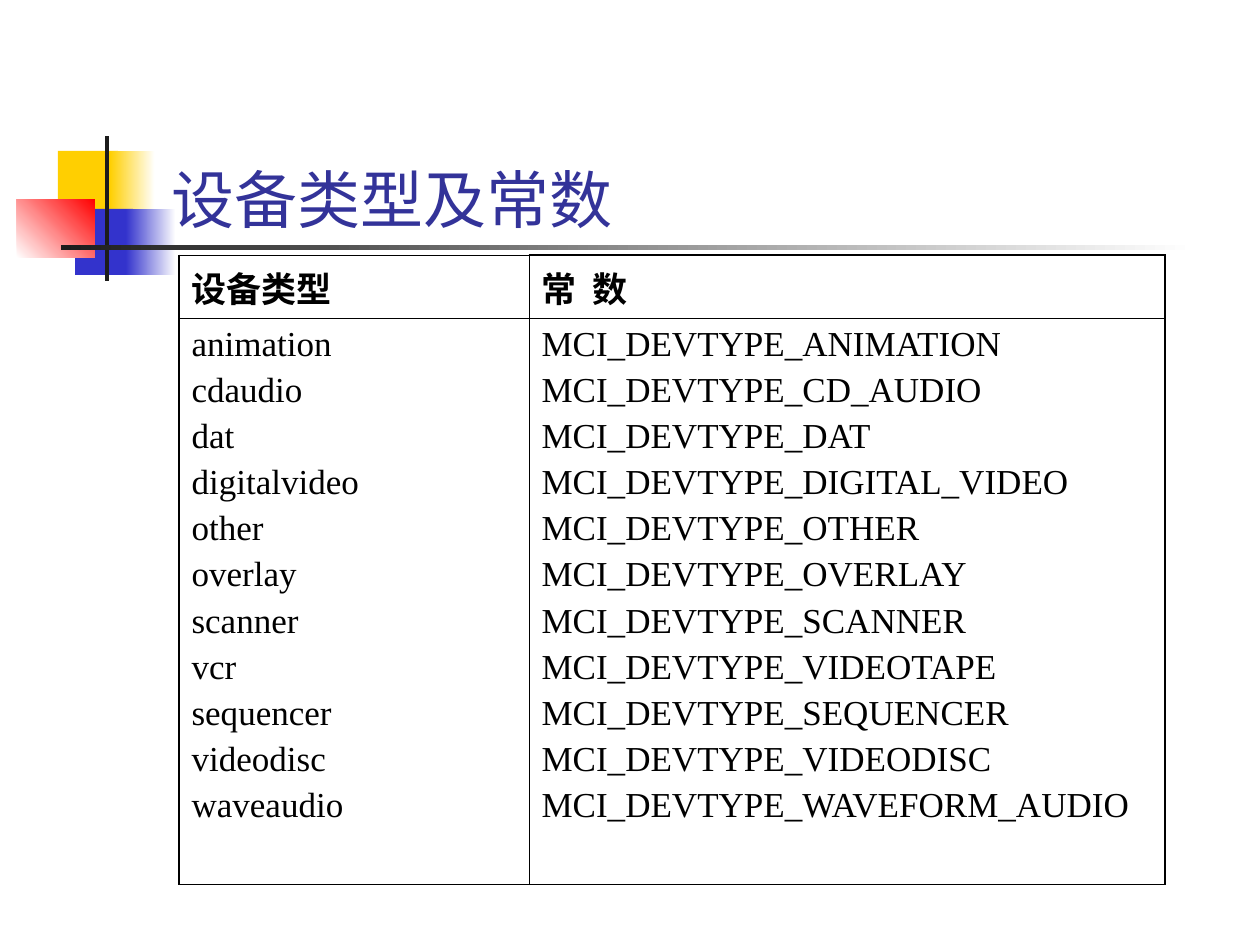
"""Builds a slide that lists the MCI device types and their constants."""
from lxml.etree import SubElement
from pptx import Presentation
from pptx.dml.color import RGBColor
from pptx.enum.shapes import MSO_SHAPE
from pptx.enum.text import MSO_ANCHOR, MSO_AUTO_SIZE, PP_ALIGN
from pptx.oxml.ns import qn
from pptx.util import Pt

RECTANGLE = MSO_SHAPE.RECTANGLE
BOTTOM = MSO_ANCHOR.BOTTOM
LEFT = PP_ALIGN.LEFT
NO_AUTOFIT = MSO_AUTO_SIZE.NONE

PX = 914400 // 126
YELLOW = RGBColor(0xFF, 0xCF, 0x01)
BLUE = RGBColor(0x33, 0x33, 0xCC)
RED = RGBColor(0xFF, 0x00, 0x00)
DARK = RGBColor(0x1C, 0x1C, 0x1C)
WHITE = RGBColor(0xFF, 0xFF, 0xFF)
BLACK = RGBColor(0x00, 0x00, 0x00)
TITLE_COLOR = RGBColor(0x33, 0x33, 0x99)
CJK_FONT = "Noto Sans CJK SC"
LATIN_FONT = "Times New Roman"
THIN, THICK = 0.45, 1.08

TITLE = "设备类型及常数"
TITLE_AREA = (159, 136, 902, 106)
HEADERS = ("设备类型", "常  数")
DEVICES = [
    ("animation", "MCI_DEVTYPE_ANIMATION"),
    ("cdaudio", "MCI_DEVTYPE_CD_AUDIO"),
    ("dat", "MCI_DEVTYPE_DAT"),
    ("digitalvideo", "MCI_DEVTYPE_DIGITAL_VIDEO"),
    ("other", "MCI_DEVTYPE_OTHER"),
    ("overlay", "MCI_DEVTYPE_OVERLAY"),
    ("scanner", "MCI_DEVTYPE_SCANNER"),
    ("vcr", "MCI_DEVTYPE_VIDEOTAPE"),
    ("sequencer", "MCI_DEVTYPE_SEQUENCER"),
    ("videodisc", "MCI_DEVTYPE_VIDEODISC"),
    ("waveaudio", "MCI_DEVTYPE_WAVEFORM_AUDIO"),
]
TABLE_CORNER = (179, 255)
COLUMN_WIDTHS = (350, 636)
ROW_HEIGHTS = (63, 566)

ORNAMENTS = [
    ((58, 151, 60, 66), (YELLOW,), 0),
    ((110, 151, 45, 66), (YELLOW, WHITE), 0),
    ((75, 209, 58, 66), (BLUE,), 0),
    ((126, 209, 50, 66), (BLUE, WHITE), 0),
    ((17, 199, 78, 59), (WHITE, RED), 45),
    ((105, 136, 4, 145), (DARK,), 0),
    ((61, 245, 1134, 5), (DARK, WHITE), 0),
]


def scaled(lengths):
    return [length * PX for length in lengths]


def add_ornament(page, area, colors, angle):
    block = page.shapes.add_shape(RECTANGLE, *scaled(area))
    block.shadow.inherit = False
    block.line.fill.background()
    if len(colors) == 1:
        block.fill.solid()
        block.fill.fore_color.rgb = colors[0]
        return
    block.fill.gradient()
    block.fill.gradient_angle = angle
    for stop, color in zip(block.fill.gradient_stops, colors):
        stop.color.rgb = color


def set_font(para, name, size, color, bold=False):
    font = para.font
    font.name, font.size, font.bold = name, Pt(size), bold
    font.color.rgb = color
    defaults = para._p.pPr.find(qn("a:defRPr"))
    SubElement(defaults, qn("a:ea"), typeface=name)


def add_title(page):
    title = page.shapes.title
    title.left, title.top, title.width, title.height = scaled(TITLE_AREA)
    frame = title.text_frame
    frame.text = TITLE
    frame.auto_size = NO_AUTOFIT
    frame.vertical_anchor = BOTTOM
    para = frame.paragraphs[0]
    para.alignment = LEFT
    set_font(para, CJK_FONT, 36, TITLE_COLOR)


def set_borders(cell, widths):
    properties = cell._tc.get_or_add_tcPr()
    for side, width in zip(("lnL", "lnR", "lnT", "lnB"), widths):
        line = SubElement(properties, qn(f"a:{side}"), w=str(Pt(width)))
        fill = SubElement(line, qn("a:solidFill"))
        SubElement(fill, qn("a:srgbClr"), val=str(BLACK))


def fill_cell(cell, lines, font_name, bold):
    cell.text_frame.text = "\n".join(lines)
    for index, para in enumerate(cell.text_frame.paragraphs):
        if index:
            para.space_before = Pt(4.2)
        set_font(para, font_name, 20, BLACK, bold)


def add_device_table(page):
    size = scaled((sum(COLUMN_WIDTHS), sum(ROW_HEIGHTS)))
    table = page.shapes.add_table(2, 2, *scaled(TABLE_CORNER), *size).table
    table.first_row = table.horz_banding = False
    for column, width in zip(table.columns, scaled(COLUMN_WIDTHS)):
        column.width = width
    for row, height in zip(table.rows, scaled(ROW_HEIGHTS)):
        row.height = height
    for index, names in enumerate(zip(*DEVICES)):
        header, body = table.cell(0, index), table.cell(1, index)
        fill_cell(header, [HEADERS[index]], CJK_FONT, True)
        fill_cell(body, names, LATIN_FONT, False)
        sides = (THIN, THICK) if index else (THICK, THIN)
        set_borders(header, (*sides, THICK if index else THIN, THIN))
        set_borders(body, (*sides, THIN, THICK))
        header.fill.background()
        body.fill.background()


def main():
    deck = Presentation()
    deck.slide_width, deck.slide_height = scaled((1260, 945))
    page = deck.slides.add_slide(deck.slide_layouts[5])
    for area, colors, angle in ORNAMENTS:
        add_ornament(page, area, colors, angle)
    add_title(page)
    add_device_table(page)
    deck.save("out.pptx")


if __name__ == "__main__":
    main()
